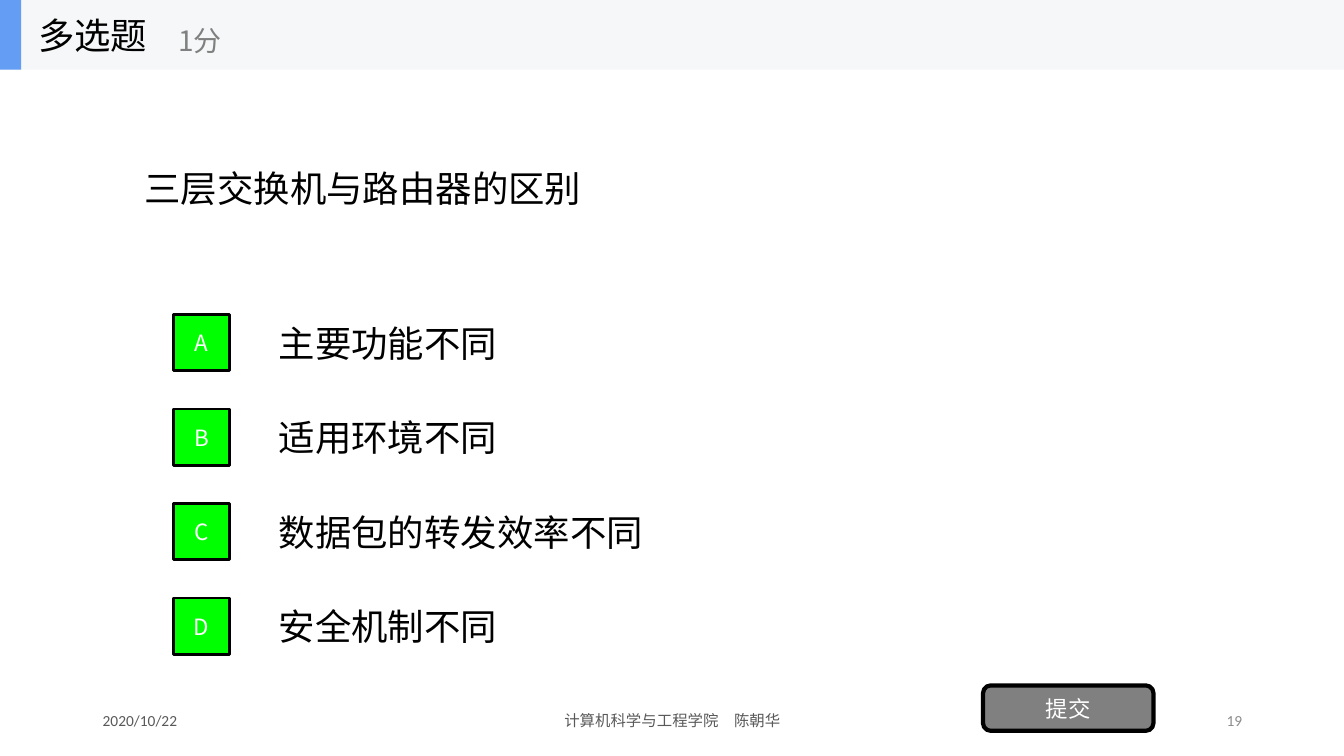
from dataclasses import dataclass

from lxml.etree import SubElement
from pptx import Presentation
from pptx.dml.color import RGBColor
from pptx.enum.shapes import MSO_SHAPE
from pptx.enum.text import MSO_ANCHOR, PP_ALIGN
from pptx.oxml.ns import qn
from pptx.util import Inches, Pt

HEADER = {"kind": "多选题", "score": "1分"}
QUESTION = "三层交换机与路由器的区别"
OPTIONS = [
    ("A", "主要功能不同"),
    ("B", "适用环境不同"),
    ("C", "数据包的转发效率不同"),
    ("D", "安全机制不同"),
]
SUBMIT = "提交"
FOOTER = {"date": "2020/10/22", "author": "计算机科学与工程学院　陈朝华", "number": "19"}


@dataclass(frozen=True)
class Theme:
    font: str = "Noto Sans CJK SC"
    footer_font: str = "Calibri"
    black: str = "000000"
    white: str = "FFFFFF"
    gray: str = "808080"
    footer: str = "595959"
    number: str = "8C8C8C"
    green: str = "00FF00"
    band: str = "F6F7F8"
    accent: str = "639EF4"
    body_size: int = 26
    score_size: int = 20
    button_size: int = 16
    footer_size: int = 11


THEME = Theme()
WIDTH, HEIGHT = 13.33, 7.5
MARGIN = WIDTH / 10
CONTENT_WIDTH = WIDTH * 0.8
BAND_HEIGHT = 0.69
FIRST_ROW, ROW_PITCH, ROW_HEIGHT = 3.05, HEIGHT / 8, 0.7
MARKER = 0.56
FOOTER_TOP, FOOTER_HEIGHT = 6.95, 0.4

deck = Presentation()
deck.slide_width, deck.slide_height = Inches(WIDTH), Inches(HEIGHT)
page = deck.slides.add_slide(deck.slide_layouts[6])


def write(shape, text, size, color, align=PP_ALIGN.LEFT, font=THEME.font):
    frame = shape.text_frame
    frame.word_wrap = True
    frame.vertical_anchor = MSO_ANCHOR.MIDDLE
    para = frame.paragraphs[0]
    para.alignment = align
    span = para.add_run()
    span.text = text
    span.font.size = Pt(size)
    span.font.color.rgb = RGBColor.from_string(color)
    span.font.name = font
    east_asian = SubElement(span.font._element, qn("a:ea"))
    east_asian.set("typeface", THEME.font)


def add_text(area, *args, **style):
    box = page.shapes.add_textbox(*map(Inches, area))
    write(box, *args, **style)


def add_block(area, fill, line_width=0, preset=MSO_SHAPE.RECTANGLE):
    block = page.shapes.add_shape(preset, *map(Inches, area))
    block.shadow.inherit = False
    block.fill.solid()
    block.fill.fore_color.rgb = RGBColor.from_string(fill)
    if line_width:
        block.line.color.rgb = RGBColor.from_string(THEME.black)
        block.line.width = Pt(line_width)
    else:
        block.line.fill.background()
    return block


def add_footer():
    cells = [
        ("date", 0.92, 3, THEME.footer, PP_ALIGN.LEFT),
        ("author", 4.42, 4.5, THEME.footer, PP_ALIGN.CENTER),
        ("number", 9.42, 3, THEME.number, PP_ALIGN.RIGHT),
    ]
    for name, left, width, color, align in cells:
        add_text((left, FOOTER_TOP, width, FOOTER_HEIGHT), FOOTER[name],
                 THEME.footer_size, color, align=align, font=THEME.footer_font)


def add_options():
    text_left = 2 * MARGIN
    for row, (letter, answer) in enumerate(OPTIONS):
        top = FIRST_ROW + row * ROW_PITCH
        add_text((text_left, top, CONTENT_WIDTH - MARGIN, ROW_HEIGHT),
                 answer, THEME.body_size, THEME.black)
        marker_top = top + (ROW_HEIGHT - MARKER) / 2
        marker = add_block((1.72, marker_top, MARKER, MARKER), THEME.green, 2)
        write(marker, letter, THEME.button_size, THEME.white, PP_ALIGN.CENTER)


def add_header():
    add_block((0, 0, WIDTH, BAND_HEIGHT), THEME.band)
    add_block((0, 0, 0.21, BAND_HEIGHT), THEME.accent)
    add_text((0.28, 0, 2.08, BAND_HEIGHT), HEADER["kind"], THEME.body_size, THEME.black)
    add_text((1.67, 0.12, 2.5, 0.56), HEADER["score"], THEME.score_size, THEME.gray)


add_footer()
add_text((MARGIN, BAND_HEIGHT, CONTENT_WIDTH, 2.34), QUESTION, THEME.body_size, THEME.black)
add_options()
button = add_block((9.75, 6.8, 1.69, 0.45), THEME.gray, 3, MSO_SHAPE.ROUNDED_RECTANGLE)
write(button, SUBMIT, THEME.button_size, THEME.white, PP_ALIGN.CENTER)
add_header()
deck.save("out.pptx")
